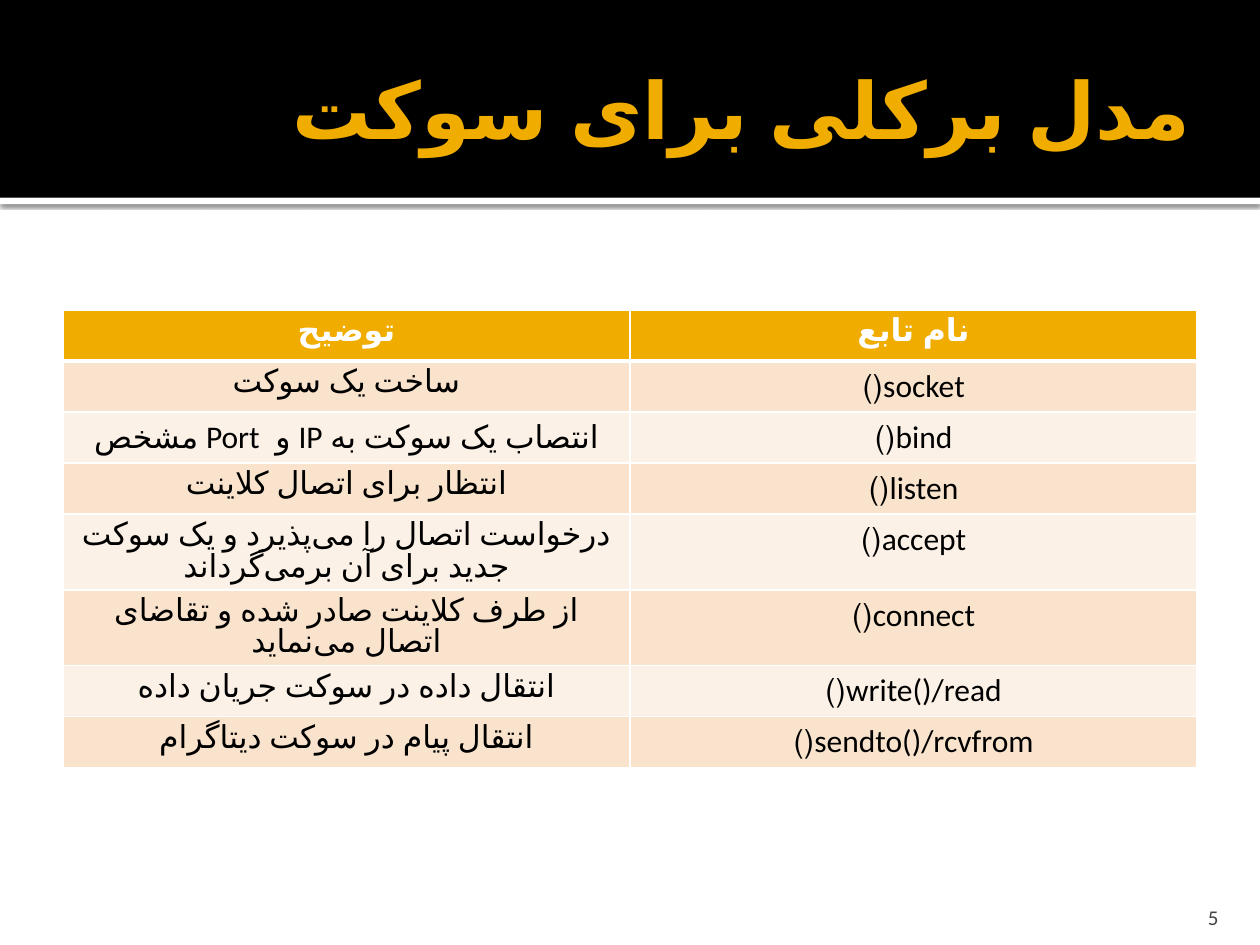
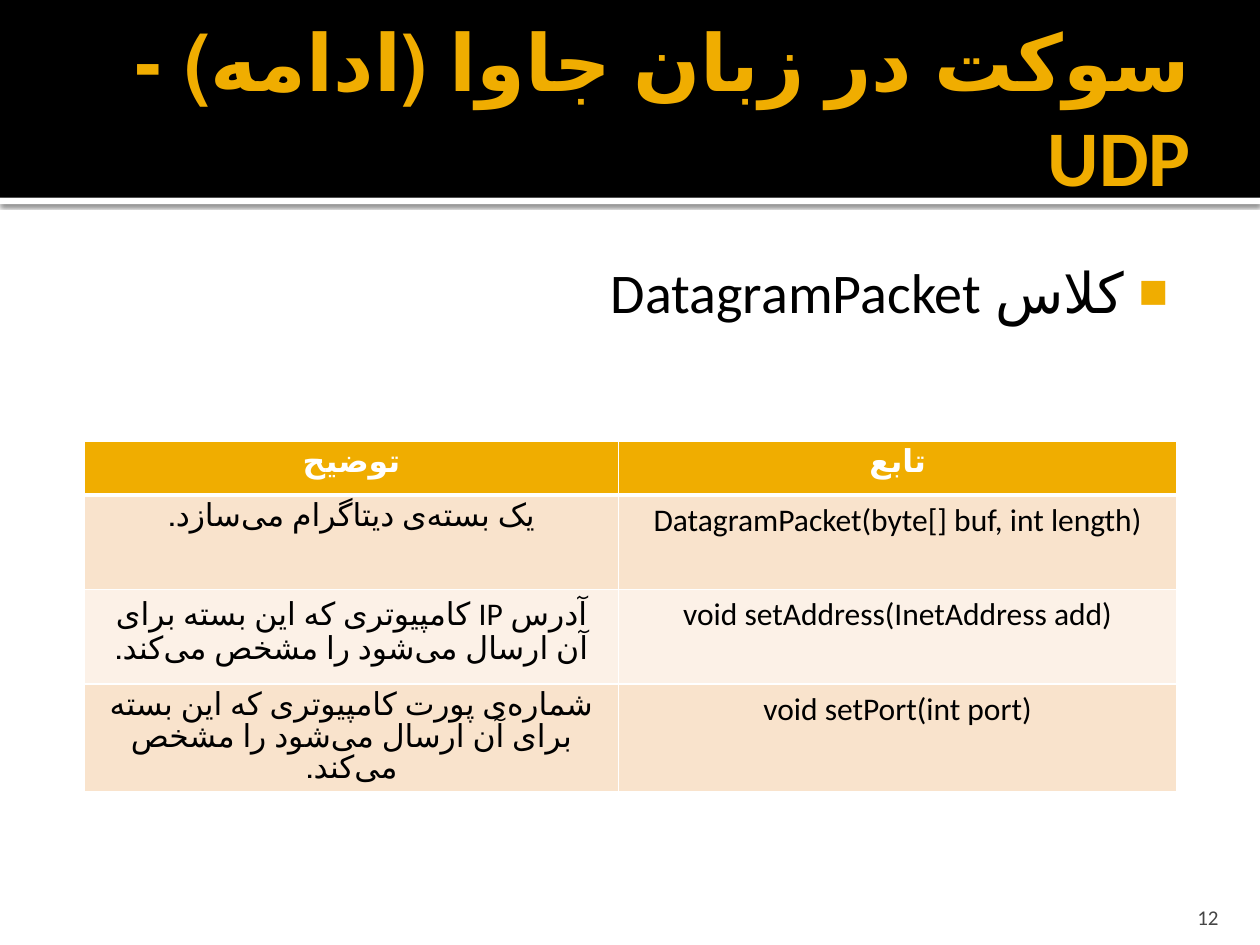
import dataclasses

import pptx
import pptx.dml.color
import pptx.enum.shapes
import pptx.enum.text
import pptx.oxml
import pptx.oxml.ns
import pptx.util
from pptx.util import Inches

ALIGN = pptx.enum.text.PP_ALIGN
ANCHOR = pptx.enum.text.MSO_ANCHOR


@dataclasses.dataclass(frozen=True)
class Theme:
    """Colours, font and type sizes shared by all slides."""
    font: str = "Calibri"
    language: str = "fa-IR"
    gold: str = "F0AD00"
    black: str = "000000"
    white: str = "FFFFFF"
    gray: str = "454545"
    bands: tuple = ("F9E3CC", "FCF1E7")
    title_size: int = 45
    body_size: int = 32
    cell_size: int = 18
    number_size: int = 12


THEME = Theme()


def rgb(color):
    """Turn a hex string into a colour."""
    return pptx.dml.color.RGBColor.from_string(color)


def xml(text):
    """Parse one DrawingML element written with the a: prefix."""
    head, mark, tail = text.partition(" ")
    return pptx.oxml.parse_xml(f"{head} {pptx.oxml.ns.nsdecls('a')}{mark}{tail}")


def write(para, text, size, color, bold=False, align=ALIGN.RIGHT, rtl=True):
    """Add one formatted run to a paragraph."""
    para.alignment = align
    span = para.add_run()
    span.text = text
    font = span.font
    font.name, font.size, font.bold = THEME.font, pptx.util.Pt(size), bold
    font.color.rgb = rgb(color)
    if rtl:
        para._p.get_or_add_pPr().set("rtl", "1")
        span._r.get_or_add_rPr().set("lang", THEME.language)


def set_frame(box, insets, anchor):
    """Set wrapping, anchor and insets (left, top, right, bottom)."""
    frame = box.text_frame
    frame.word_wrap = True
    frame.auto_size = pptx.enum.text.MSO_AUTO_SIZE.NONE
    frame.vertical_anchor = anchor
    (frame.margin_left, frame.margin_top,
     frame.margin_right, frame.margin_bottom) = map(Inches, insets)
    return frame.paragraphs[0]


def add_band(page, top, height, color):
    """Draw a full-width bar without outline."""
    band = page.shapes.add_shape(
        pptx.enum.shapes.MSO_SHAPE.RECTANGLE,
        Inches(0), Inches(top), Inches(10), Inches(height))
    band.shadow.inherit = False
    band.fill.solid()
    band.fill.fore_color.rgb = rgb(color)
    band.line.fill.background()
    return band


def add_shadow(shape):
    """Give a shape a soft shadow straight below it."""
    effects = shape._element.spPr.find(pptx.oxml.ns.qn("a:effectLst"))
    effects.append(xml(
        '<a:outerShdw blurRad="31750" dist="10160" dir="5400000" rotWithShape="0">'
        f'<a:srgbClr val="{THEME.black}"><a:alpha val="60000"/></a:srgbClr>'
        '</a:outerShdw>'))


def add_page(deck, title, number):
    """Add a slide with the header band, title and page number."""
    page = deck.slides.add_slide(deck.slide_layouts[5])
    add_shadow(add_band(page, 1.57, 0.05, THEME.white))
    add_band(page, 0, 1.57, THEME.black)

    heading = page.shapes.title
    heading.element.getparent().append(heading.element)  # in front of the band
    heading.left, heading.top = Inches(0.5), Inches(0.17)
    heading.width, heading.height = Inches(9), Inches(1.37)
    para = set_frame(heading, (0.1, 0.05, 0.05, 0.05), ANCHOR.MIDDLE)
    write(para, title, THEME.title_size, THEME.gold, bold=True)

    box = page.shapes.add_textbox(
        Inches(8.97), Inches(7.08), Inches(0.8), Inches(0.3))
    para = set_frame(box, (0.1, 0.05, 0.1, 0), ANCHOR.BOTTOM)
    write(para, str(number), THEME.number_size, THEME.gray, rtl=False)
    return page


def add_bullet(page, text):
    """Add the body box with one square-bulleted line."""
    box = page.shapes.add_textbox(
        Inches(0.5), Inches(1.94), Inches(9), Inches(5.06))
    para = set_frame(box, (0.06, 0.1, 0.1, 0.05), ANCHOR.TOP)
    write(para, text, THEME.body_size, THEME.black)
    layout = para._p.get_or_add_pPr()
    layout.set("marL", str(Inches(0.48)))
    layout.set("indent", str(Inches(-0.35)))
    for part in (f'<a:buClr ><a:srgbClr val="{THEME.gold}"/></a:buClr>',
                 '<a:buSzPct val="56000"/>',
                 f'<a:buFont typeface="{THEME.font}"/>',
                 '<a:buChar char="■"/>'):
        layout.append(xml(part))


def set_borders(cell, top, bottom):
    """Draw white cell borders; top and bottom widths are in points."""
    properties = cell._tc.get_or_add_tcPr()
    widths = {"lnL": 1, "lnR": 1, "lnT": top, "lnB": bottom}
    for place, (side, width) in enumerate(widths.items()):
        properties.insert(place, xml(
            f'<a:{side} w="{pptx.util.Pt(width)}"><a:solidFill>'
            f'<a:srgbClr val="{THEME.white}"/></a:solidFill></a:{side}>'))


def add_function_table(page, left, top, widths, heights, rows):
    """Add a table with a gold header row and banded body rows."""
    table = page.shapes.add_table(
        len(rows), len(widths), Inches(left), Inches(top),
        Inches(sum(widths)), Inches(sum(heights))).table
    table.horz_banding = False
    for column, width in zip(table.columns, widths):
        column.width = Inches(width)
    for index, (row, height, texts) in enumerate(zip(table.rows, heights, rows)):
        row.height = Inches(height)
        header = index == 0
        fill = THEME.gold if header else THEME.bands[(index - 1) % 2]
        color = THEME.white if header else THEME.black
        for cell, text in zip(row.cells, texts):
            cell.fill.solid()
            cell.fill.fore_color.rgb = rgb(fill)
            set_borders(cell, 3 if index == 1 else 1, 3 if header else 1)
            para = cell.text_frame.paragraphs[0]
            write(para, text, THEME.cell_size, color, header, ALIGN.CENTER)
            if not any("a" <= letter <= "z" or "A" <= letter <= "Z"
                       for letter in text):
                para.line_spacing = pptx.util.Pt(THEME.cell_size)


def add_socket_model(deck):
    """Build the slide that lists the socket functions."""
    page = add_page(deck, "مدل برکلی برای سوکت", 5)
    rows = [
        ("توضیح", "نام تابع"),
        ("ساخت یک سوکت", "socket()"),
        ("انتصاب یک سوکت به IP و  Port مشخص", "bind()"),
        ("انتظار برای اتصال کلاینت", "listen()"),
        ("درخواست اتصال را می\u200cپذیرد و یک سوکت جدید برای آن "
         "برمی\u200cگرداند", "accept()"),
        ("از طرف کلاینت صادر شده و تقاضای اتصال می\u200cنماید", "connect()"),
        ("انتقال داده در سوکت جریان داده", "write()/read()"),
        ("انتقال پیام در سوکت دیتاگرام", "sendto()/rcvfrom()"),
    ]
    add_function_table(page, 0.5, 2.46, [4.5, 4.5], [0.405] * len(rows), rows)


def add_datagram_packet(deck):
    """Build the slide about the datagram packet class."""
    page = add_page(deck, "سوکت در زبان جاوا (ادامه) - UDP", 12)
    add_bullet(page, "کلاس DatagramPacket")
    rows = [
        ("توضیح", "تابع"),
        ("یک بسته\u200cی دیتاگرام می\u200cسازد.",
         "DatagramPacket(byte[] buf, int length)"),
        ("آدرس IP کامپیوتری که این بسته برای آن ارسال می\u200cشود را "
         "مشخص می\u200cکند.", "void setAddress(InetAddress add)"),
        ("شماره\u200cی پورت کامپیوتری که این بسته برای آن ارسال می\u200cشود را "
         "مشخص می\u200cکند.", "void setPort(int port)"),
    ]
    add_function_table(page, 0.67, 3.5, [4.24, 4.43], [0.43] + [0.75] * 3, rows)


def main():
    """Build and save the deck."""
    deck = pptx.Presentation()
    deck.slide_width, deck.slide_height = Inches(10), Inches(7.5)
    add_socket_model(deck)
    add_datagram_packet(deck)
    deck.save("out.pptx")


main()
